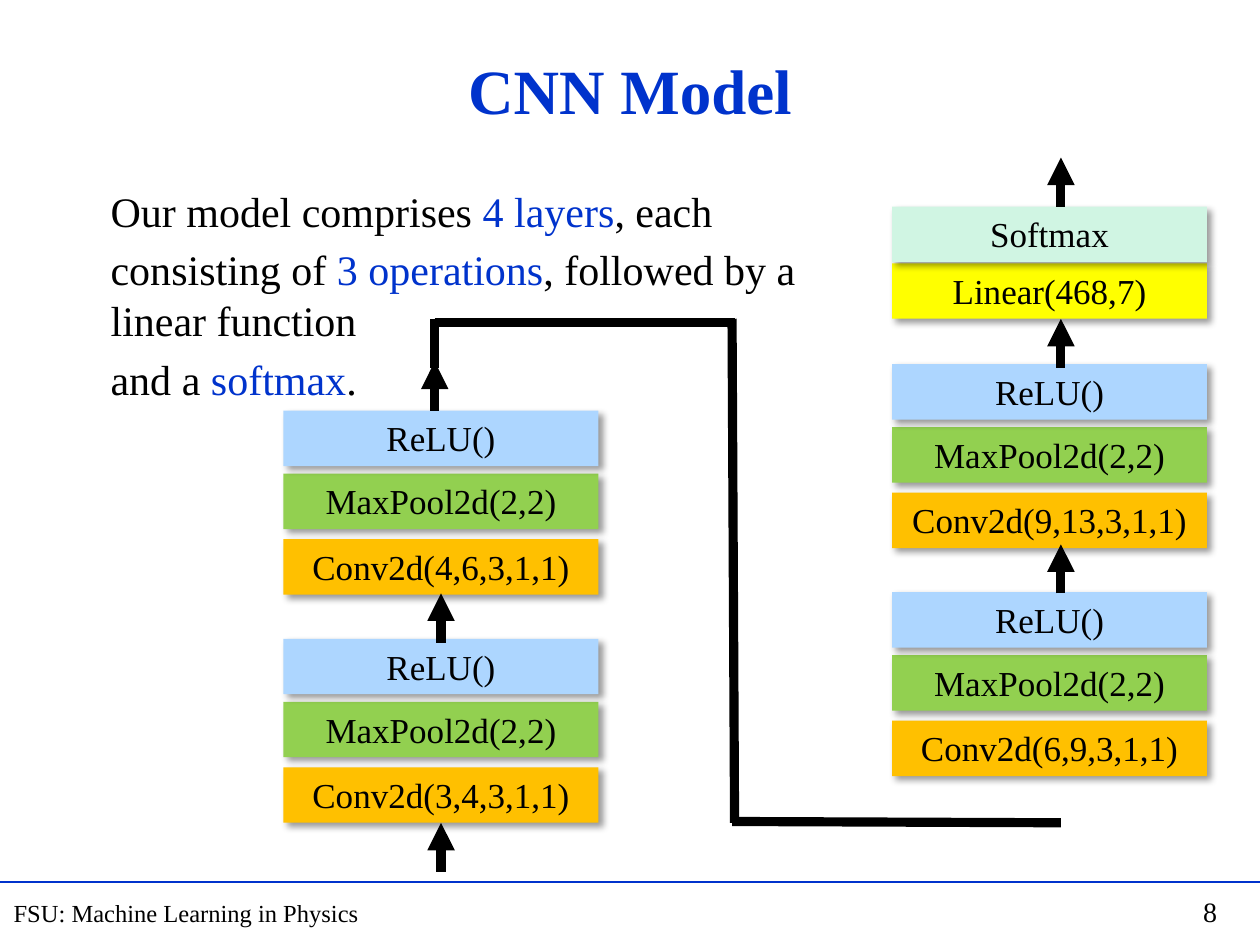
from lxml.etree import SubElement
from pptx import Presentation
from pptx.dml.color import RGBColor
from pptx.enum.shapes import MSO_CONNECTOR, MSO_SHAPE
from pptx.enum.text import MSO_ANCHOR, PP_ALIGN
from pptx.oxml.ns import qn
from pptx.util import Inches, Pt

HUES = {"ink": "000000", "blue": "0033CC", "conv": "FFC000", "pool": "92D050",
        "relu": "ADD6FF", "linear": "FFFF00", "soft": "D0F5E3"}
FACE = "Times New Roman"

# Text: box, size, format, paragraphs of (words, colour) runs
TEXTS = [
    ((0.01, 7.08, 2.96, 0.34), 14, {"word_wrap": False},
     [[("FSU: Machine Learning in Physics", "ink")]]),
    ((9.45, 7.05, 0.46, 0.37), 16, {"word_wrap": False}, [[("8", "ink")]]),
    ((0.78, 1.42, 8.47, 5.27), 24, {"word_wrap": True}, [
        [("Our model comprises ", "ink"), ("4 layers", "blue"), (", each", "ink")],
        [("consisting of ", "ink"), ("3 operations", "blue"),
         (", followed by a\nlinear function", "ink")],
        [("and a ", "ink"), ("softmax", "blue"), (".", "ink")]]),
]
TITLE = ((0.75, 0.25, 8.5, 0.92), 36,
         {"word_wrap": True, "vertical_anchor": MSO_ANCHOR.MIDDLE},
         [[("CNN Model", "blue")]])

# Layers: left, top of the convolution, its arguments
LAYERS = [(2.25, 6.09, "3,4,3,1,1"), (2.25, 4.28, "4,6,3,1,1"),
          (7.08, 5.72, "6,9,3,1,1"), (7.08, 3.91, "9,13,3,1,1")]
STEPS = [("conv", "Conv2d({})", 0), ("pool", "MaxPool2d(2,2)", 0.52),
         ("relu", "ReLU()", 1.02)]
HEADS = [("linear", "Linear(468,7)", 2.09), ("soft", "Softmax", 1.64)]
BOX_W, BOX_H = 2.5, 0.44

# Upward arrows: x and foot; path: straight pieces
ARROWS = [(8.42, 4.71), (3.5, 5.1), (3.45, 3.26), (3.5, 6.92), (8.42, 2.92), (8.42, 1.64)]
RISE = 0.39
PATH = [(3.45, 2.92, 3.45, 2.53), (3.45, 2.56, 5.83, 2.56),
        (5.83, 6.53, 5.81, 2.53), (5.81, 6.52, 8.42, 6.53)]

deck = Presentation()
deck.slide_width, deck.slide_height = Inches(10), Inches(7.5)
slide = deck.slides.add_slide(deck.slide_layouts[6])
shapes = slide.shapes


def color(name):
    return RGBColor.from_string(HUES[name])


def style(item, form):
    for key, val in form.items():
        setattr(item, key, val)


def write(frame, paras, size, bold=False, align=PP_ALIGN.LEFT, gap=4.8):
    for i, runs in enumerate(paras):
        para = frame.paragraphs[0] if i == 0 else frame.add_paragraph()
        para.alignment = align
        if i:
            para.space_before = Pt(gap)
        for words, hue in runs:
            for j, part in enumerate(words.split("\n")):
                if j:
                    para.add_line_break()
                run = para.add_run()
                run.text = part
                style(run.font, {"name": FACE, "size": Pt(size), "bold": bold})
                run.font.color.rgb = color(hue)


def label(box, size, form, paras, **more):
    frame = shapes.add_textbox(*map(Inches, box)).text_frame
    style(frame, form)
    write(frame, paras, size, **more)


def line(ends, hue="ink", width=5.25, head=False):
    link = shapes.add_connector(MSO_CONNECTOR.STRAIGHT, *map(Inches, ends))
    link.line.color.rgb = color(hue)
    link.line.width = Pt(width)
    if head:
        SubElement(link.line._get_or_add_ln(), qn("a:tailEnd"), type="triangle")
    SubElement(link._element.spPr, qn("a:effectLst"))


def block(left, top, hue, words):
    box = shapes.add_shape(MSO_SHAPE.RECTANGLE, *map(Inches, (left, top, BOX_W, BOX_H)))
    box.fill.solid()
    box.fill.fore_color.rgb = color(hue)
    box.line.fill.background()
    # Soft shadow, down and to the right
    box.shadow.inherit = False
    cast = SubElement(box._element.spPr.find(qn("a:effectLst")), qn("a:outerShdw"),
                      blurRad=str(Pt(4)), dist=str(Pt(3)), dir="2700000",
                      algn="tl", rotWithShape="0")
    tint = SubElement(cast, qn("a:srgbClr"), val=HUES["ink"])
    SubElement(tint, qn("a:alpha"), val="40000")
    style(box.text_frame, {"word_wrap": True, "vertical_anchor": MSO_ANCHOR.TOP})
    write(box.text_frame, [[(words, "ink")]], 20, align=PP_ALIGN.CENTER)


# Footer rule, text and title
line((0, 7, 10, 7), "blue", 1)
for text in TEXTS:
    label(*text)
label(*TITLE, bold=True, align=PP_ALIGN.CENTER)

# Network blocks, from the bottom up
for left, base, args in LAYERS:
    for hue, words, lift in STEPS:
        block(left, base - lift, hue, words.format(args))
for hue, words, top in HEADS:
    block(LAYERS[-1][0], top, hue, words)

# Arrows and the path between the columns
for x, foot in ARROWS:
    line((x, foot, x, foot - RISE), head=True)
for ends in PATH:
    line(ends)

deck.save("out.pptx")
